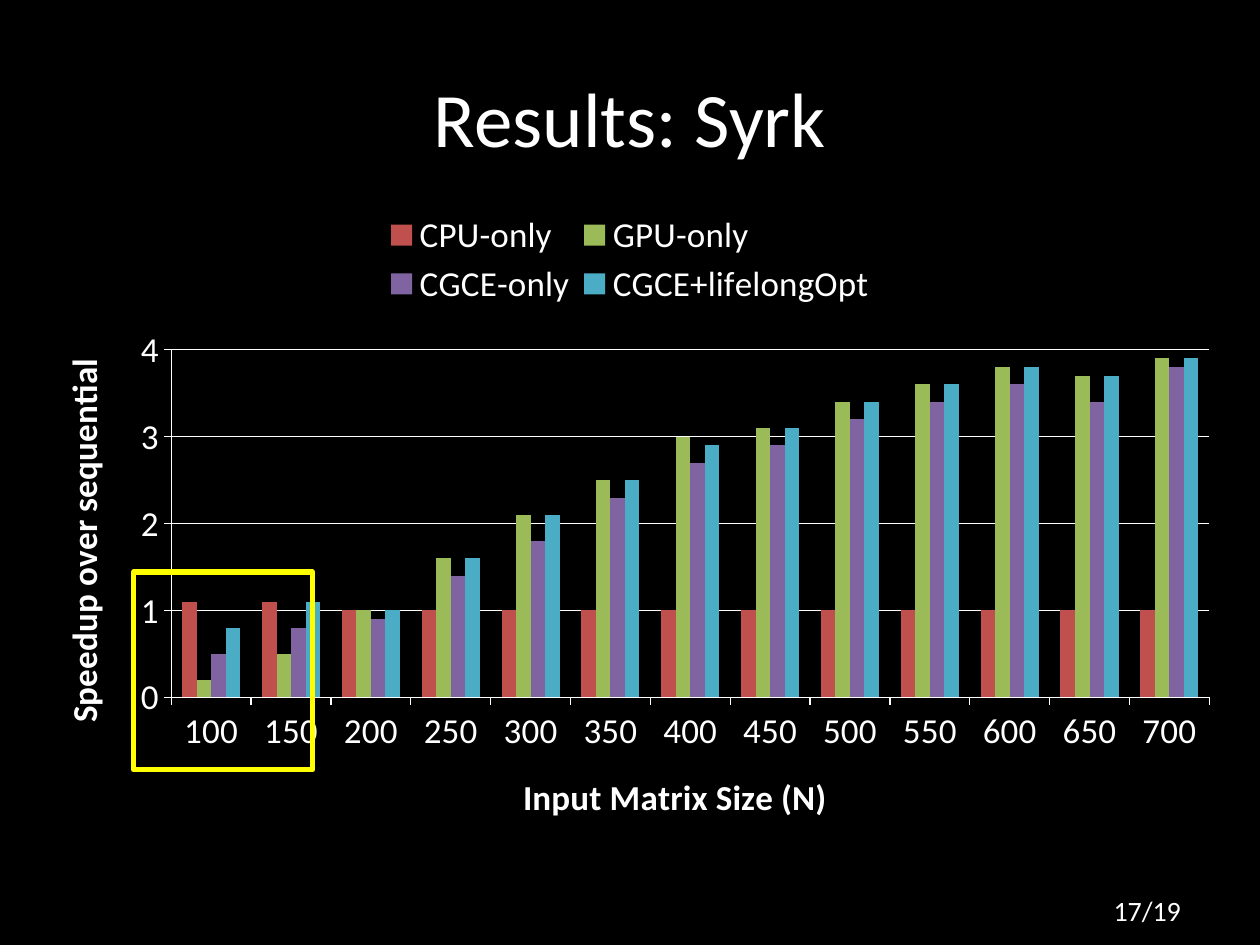
from lxml import etree
from pptx import Presentation
from pptx.chart.data import CategoryChartData
from pptx.dml.color import RGBColor
from pptx.enum import chart as ch, shapes, text
from pptx.oxml.ns import qn
from pptx.util import Inches, Pt

# Content
TITLE = "Results: Syrk"
PAGE = "17/19"
X_TITLE, Y_TITLE = "Input Matrix Size (N)", "Speedup over sequential"
SIZES = [str(n) for n in range(100, 701, 50)]
SERIES = [
    ("CPU-only", "C0504D", [1.1, 1.1] + [1] * 11),
    ("GPU-only", "9BBB59",
     [0.2, 0.5, 1, 1.6, 2.1, 2.5, 3, 3.1, 3.4, 3.6, 3.8, 3.7, 3.9]),
    ("CGCE-only", "8064A2",
     [0.5, 0.8, 0.9, 1.4, 1.8, 2.3, 2.7, 2.9, 3.2, 3.4, 3.6, 3.4, 3.8]),
    ("CGCE+lifelongOpt", "4BACC6",
     [0.8, 1.1, 1, 1.6, 2.1, 2.5, 2.9, 3.1, 3.4, 3.6, 3.8, 3.7, 3.9]),
]
FONT, WHITE, BLACK, YELLOW = "Calibri", "FFFFFF", "000000", "FFFF00"


def color(value):
    return RGBColor.from_string(value)


def box(*lengths):
    return [Inches(v) for v in lengths]


def style(font, size, bold=None):
    font.name, font.size, font.bold = FONT, Pt(size), bold
    font.color.rgb = color(WHITE)


def write(tf, words, size):
    p = tf.paragraphs[0]
    p.alignment = text.PP_ALIGN.CENTER
    r = p.add_run()
    r.text = words
    style(r.font, size)


def place(element, x, y, w, h, inner=False):
    """Give a chart part a fixed place, in fractions of the chart."""
    for old in element.findall(qn("c:layout")):
        element.remove(old)
    layout = etree.Element(qn("c:layout"))
    manual = etree.SubElement(layout, qn("c:manualLayout"))
    target = [("layoutTarget", "inner")] if inner else []
    for tag, val in target + [("xMode", "edge"), ("yMode", "edge"),
                              ("x", x), ("y", y), ("w", w), ("h", h)]:
        etree.SubElement(manual, qn("c:" + tag)).set("val", str(val))
    if inner:
        element.insert(0, layout)
    else:
        element.find(qn("c:legendPos")).addnext(layout)


prs = Presentation()
prs.slide_width, prs.slide_height = box(10, 7.5)
s = prs.slides.add_slide(prs.slide_layouts[5])
s.background.fill.solid()
s.background.fill.fore_color.rgb = color(BLACK)

# Title
title = s.shapes.title
title.left, title.top, title.width, title.height = box(0.5, 0.3, 9, 1.25)
title.text_frame.vertical_anchor = text.MSO_ANCHOR.MIDDLE
write(title.text_frame, TITLE, 44)

# Chart
data = CategoryChartData()
data.categories = SIZES
for name, _, values in SERIES:
    data.add_series(name, values)
chart = s.shapes.add_chart(ch.XL_CHART_TYPE.COLUMN_CLUSTERED,
                           *box(0.21, 1.55, 9.58, 5.11), data).chart
style(chart.font, 20)
chart.has_title = False
plot = chart.plots[0]
plot.gap_width, plot.overlap, plot.vary_by_categories = 150, 0, False
for series, (_, fill, _) in zip(plot.series, SERIES):
    series.format.fill.solid()
    series.format.fill.fore_color.rgb = color(fill)

# Axes
x_axis, y_axis = chart.category_axis, chart.value_axis
for axis, words in ((x_axis, X_TITLE), (y_axis, Y_TITLE)):
    write(axis.axis_title.text_frame, words, 20)
    axis.axis_title.text_frame.paragraphs[0].runs[0].font.bold = True
    axis.major_tick_mark = ch.XL_TICK_MARK.OUTSIDE
    axis.format.line.color.rgb = color(WHITE)
y_axis.minimum_scale, y_axis.maximum_scale, y_axis.major_unit = 0, 4, 1
y_axis.tick_labels.number_format = "0"
y_axis.tick_labels.number_format_is_linked = False
y_axis.has_major_gridlines = True
y_axis.major_gridlines.format.line.color.rgb = color(WHITE)

# Legend in two rows above the plot
chart.has_legend = True
legend = chart.legend
legend.position = ch.XL_LEGEND_POSITION.TOP
legend.include_in_layout = False
style(legend.font, 20)
place(legend._element, 0.29, 0.02, 0.42, 0.16)
place(chart._chartSpace.chart.plotArea, 0.12, 0.24, 0.86, 0.54, inner=True)

# Frame around the small sizes
frame = s.shapes.add_shape(shapes.MSO_SHAPE.RECTANGLE,
                           *box(1.06, 4.54, 1.42, 1.57))
frame.shadow.inherit = False
frame.fill.background()
frame.line.color.rgb = color(YELLOW)
frame.line.width = Pt(3)

# Page number
tf = s.shapes.add_textbox(*box(8.21, 7.04, 1.79, 0.37)).text_frame
tf.word_wrap = True
tf.auto_size = text.MSO_AUTO_SIZE.SHAPE_TO_FIT_TEXT
write(tf, PAGE, 16)

prs.save("out.pptx")
